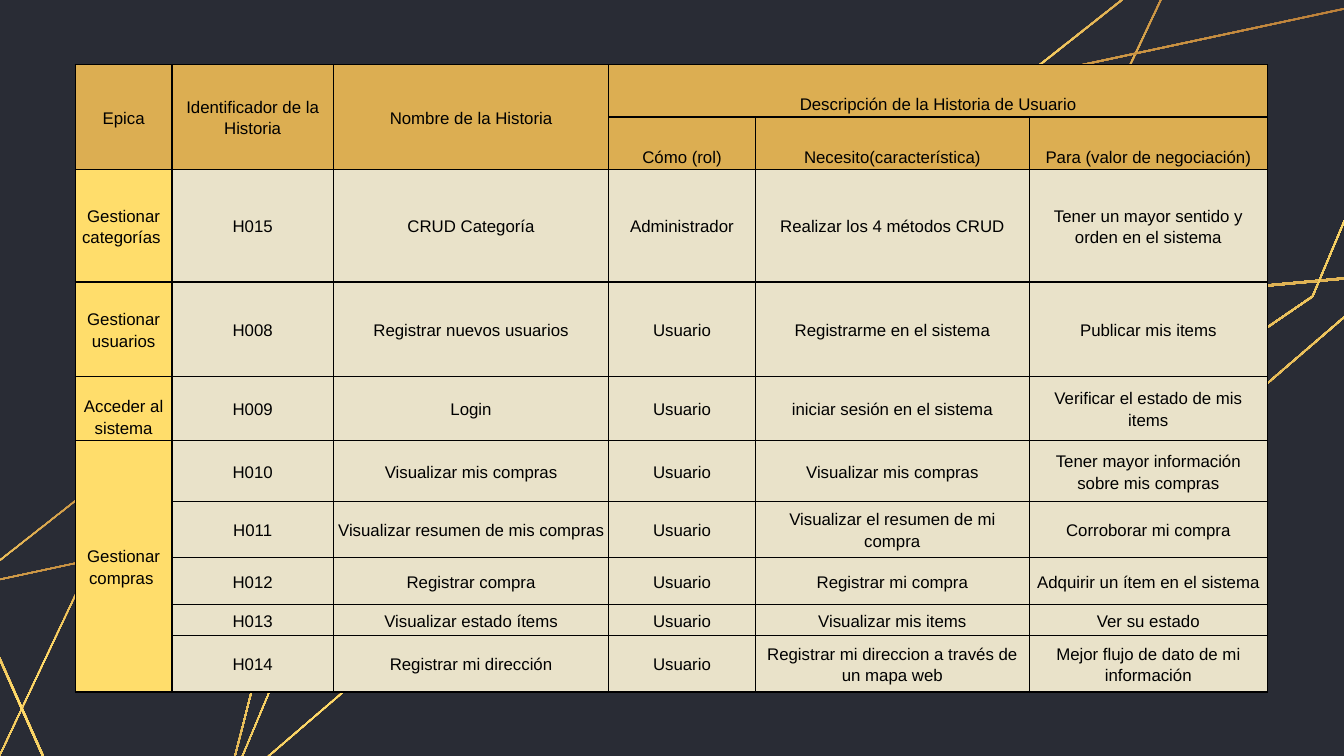
from copy import deepcopy
from lxml.etree import SubElement
from pptx import Presentation
from pptx.dml.color import RGBColor
from pptx.enum.text import MSO_ANCHOR, PP_ALIGN
from pptx.oxml.ns import qn
from pptx.util import Inches, Pt


def color(value):
    return RGBColor.from_string(value)


def add_borders(cell):
    properties = cell._tc.get_or_add_tcPr()
    for index, side in enumerate(("lnL", "lnR", "lnT", "lnB")):
        border = SubElement(properties, qn(f"a:{side}"), w=str(Pt(0.83)))
        fill = SubElement(border, qn("a:solidFill"))
        SubElement(fill, qn("a:srgbClr"), val="000000")
        properties.insert(index, border)


deck = Presentation()
deck.slide_width = Inches(10)
deck.slide_height = Inches(10) * 9 // 16
page = deck.slides.add_slide(deck.slide_layouts[6])
page.background.fill.solid()
page.background.fill.fore_color.rgb = color("292C35")

outlines = [
    [(-0.16, 5.86), (-0.53, 4.58), (1.02, 3.36), (2.05, 3.18), (2.22, 3.8), (1.74, 5.68)],
    [(0.68, 6.43), (-0.11, 5.84), (1.07, 3.34), (2.72, 3.45), (1.79, 5.67)],
    [(0.78, 6.68), (-0.25, 4.36), (2.83, 3.7), (2.71, 5.02)],
    [(7.83, 2.28), (7.39, 0.75), (9.25, -0.72), (10.48, -0.93), (10.69, -0.19), (10.11, 2.07)],
    [(8.44, 3.12), (7.49, 2.42), (8.91, -0.59), (10.89, -0.45), (9.77, 2.21)],
    [(8.86, 3.35), (7.62, 0.57), (11.31, -0.22), (11.17, 1.36)],
]
gradient = [(0, "AF7132"), (0.5, "FFDD6B"), (1, "DCAE52")]

for corners in outlines:
    center_x = sum(x for x, y in corners) / len(corners)
    center_y = sum(y for x, y in corners) / len(corners)
    rings = []
    for ratio in (1, 0.99):
        rings.append([
            (Inches(center_x + (x - center_x) * ratio), Inches(center_y + (y - center_y) * ratio))
            for x, y in corners
        ])
    outer, inner = rings
    builder = page.shapes.build_freeform(*outer[0])
    builder.add_line_segments(outer[1:], close=True)
    builder.move_to(*inner[0])
    builder.add_line_segments(inner[1:], close=True)
    polygon = builder.convert_to_shape()
    polygon.shadow.inherit = False
    polygon.line.fill.background()
    polygon.fill.gradient()
    polygon.fill.gradient_angle = 270
    stop_list = polygon._element.spPr.find(f".//{qn('a:gsLst')}")
    stop_list.append(deepcopy(stop_list[0]))
    for stop, (position, value) in zip(polygon.fill.gradient_stops, gradient):
        stop.position = position
        stop.color.rgb = color(value)

rows = [
    ["Epica", "Identificador de la Historia", "Nombre de la Historia",
     "Descripción de la Historia de Usuario", "", ""],
    ["", "", "", "Cómo (rol)", "Necesito(característica)", "Para (valor de negociación)"],
    ["Gestionar categorías ", "H015", "CRUD Categoría", "Administrador",
     "Realizar los 4 métodos CRUD", "Tener un mayor sentido y orden en el sistema"],
    ["Gestionar usuarios", "H008", "Registrar nuevos usuarios", "Usuario",
     "Registrarme en el sistema", "Publicar mis items"],
    ["Acceder al sistema", "H009", "Login", "Usuario",
     "iniciar sesión en el sistema", "Verificar el estado de mis items"],
    ["Gestionar compras ", "H010", "Visualizar mis compras", "Usuario",
     "Visualizar mis compras", "Tener mayor información sobre mis compras"],
    ["", "H011", "Visualizar resumen de mis compras", "Usuario",
     "Visualizar el resumen de mi compra", "Corroborar mi compra"],
    ["", "H012", "Registrar compra", "Usuario",
     "Registrar mi compra", "Adquirir un ítem en el sistema"],
    ["", "H013", "Visualizar estado ítems", "Usuario",
     "Visualizar mis items", "Ver su estado"],
    ["", "H014", "Registrar mi dirección", "Usuario",
     "Registrar mi direccion a través de un mapa web", "Mejor flujo de dato de mi información"],
]
widths = [0.72, 1.2, 2.05, 1.09, 2.04, 1.77]
heights = [0.39, 0.39, 0.84, 0.7, 0.48, 0.45, 0.42, 0.35, 0.23, 0.42]

frame = page.shapes.add_table(
    len(rows), len(widths), Inches(0.56), Inches(0.48), Inches(sum(widths)), Inches(sum(heights))
)
stories = frame.table
stories.first_row = False
stories.horz_banding = False
for column, width in zip(stories.columns, widths):
    column.width = Inches(width)
for row, height in zip(stories.rows, heights):
    row.height = Inches(height)

merges = [((0, 0), (1, 0)), ((0, 1), (1, 1)), ((0, 2), (1, 2)), ((0, 3), (0, 5)), ((5, 0), (9, 0))]
for first, last in merges:
    stories.cell(*first).merge(stories.cell(*last))

cell_format = {
    "margin_left": Inches(0.03), "margin_right": Inches(0.03),
    "margin_top": Inches(0.02), "margin_bottom": Inches(0.02),
}
para_format = {"alignment": PP_ALIGN.CENTER, "line_spacing": 1.15}
font_format = {"name": "Arial", "size": Pt(9)}

for row_index, texts in enumerate(rows):
    for column_index, text in enumerate(texts):
        cell = stories.cell(row_index, column_index)
        for name, value in cell_format.items():
            setattr(cell, name, value)
        at_bottom = (row_index < 2 and column_index > 2) or (row_index, column_index) == (4, 0)
        cell.vertical_anchor = MSO_ANCHOR.BOTTOM if at_bottom else MSO_ANCHOR.MIDDLE
        cell.fill.solid()
        body_fill = "FFDD6B" if column_index == 0 else "E9E2C9"
        cell.fill.fore_color.rgb = color("DCAE52" if row_index < 2 else body_fill)
        add_borders(cell)
        if text:
            para = cell.text_frame.paragraphs[0]
            for name, value in para_format.items():
                setattr(para, name, value)
            span = para.add_run()
            span.text = text
            for name, value in font_format.items():
                setattr(span.font, name, value)
            span.font.color.rgb = color("000000")

deck.save("out.pptx")
